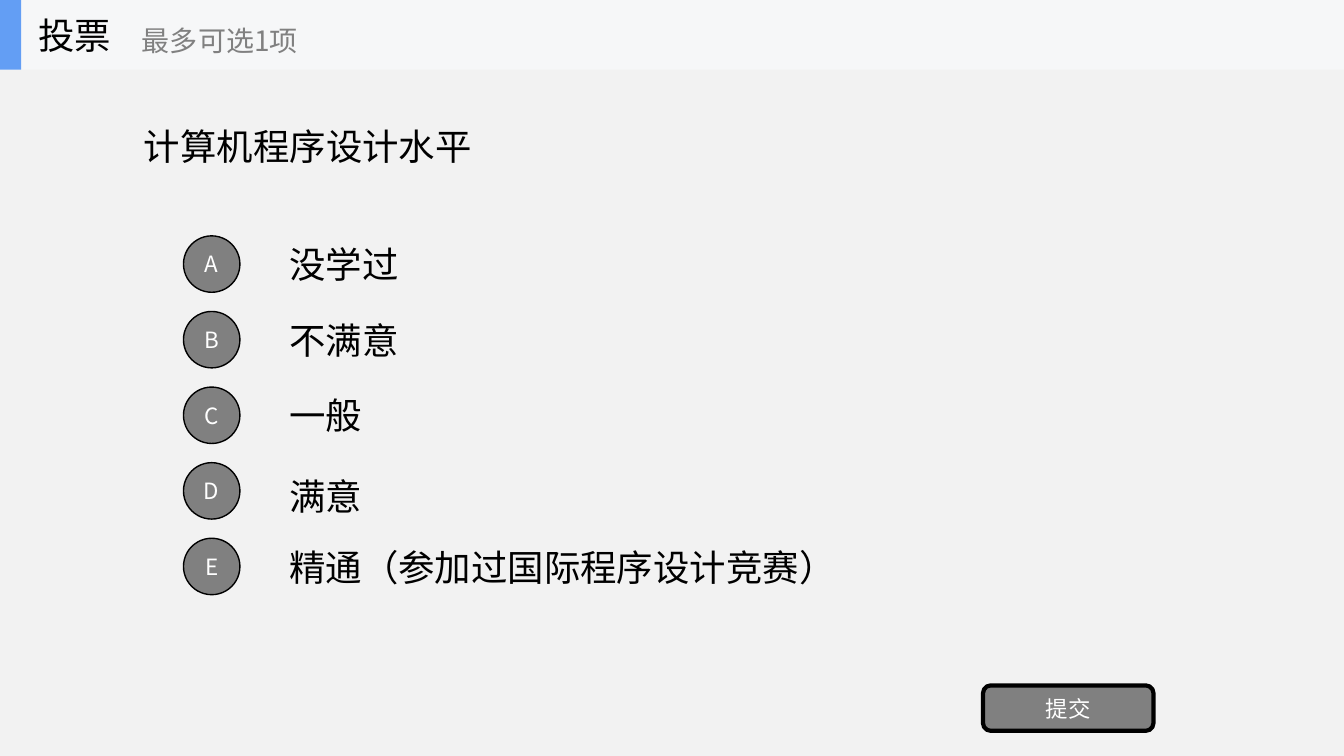
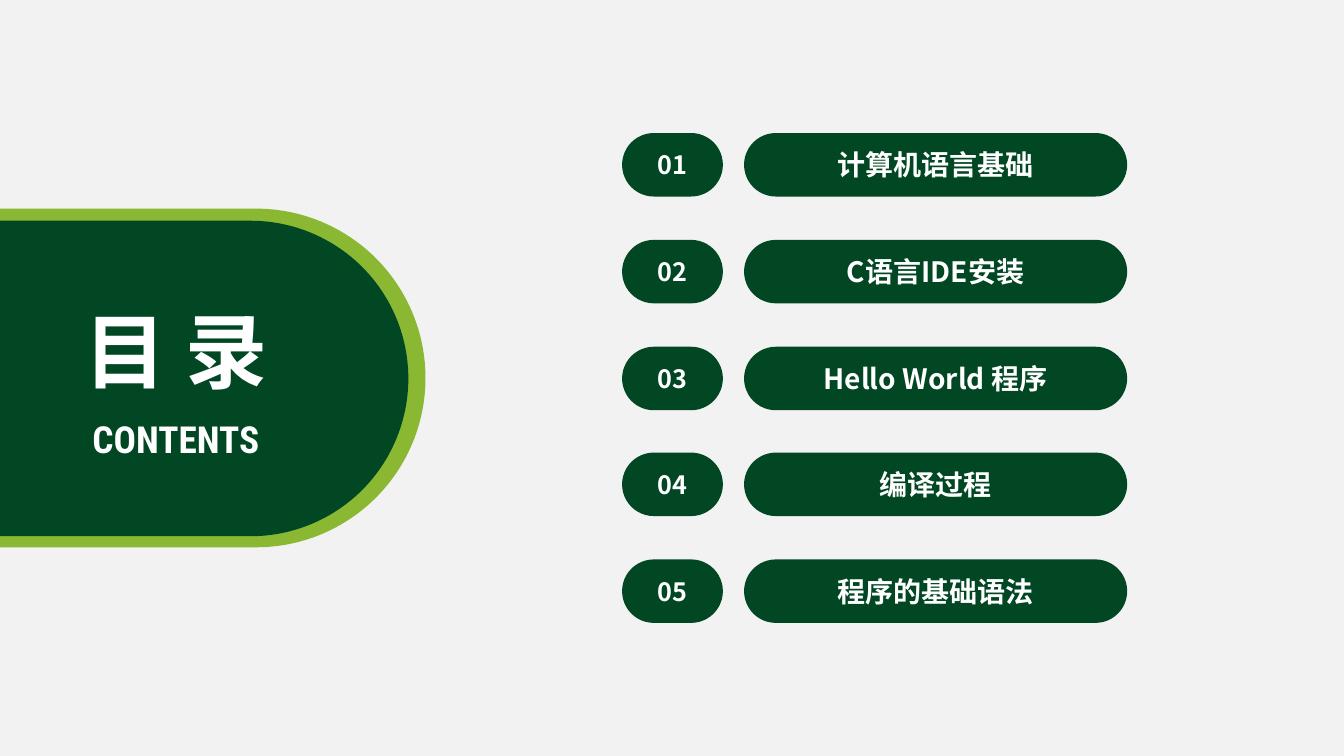
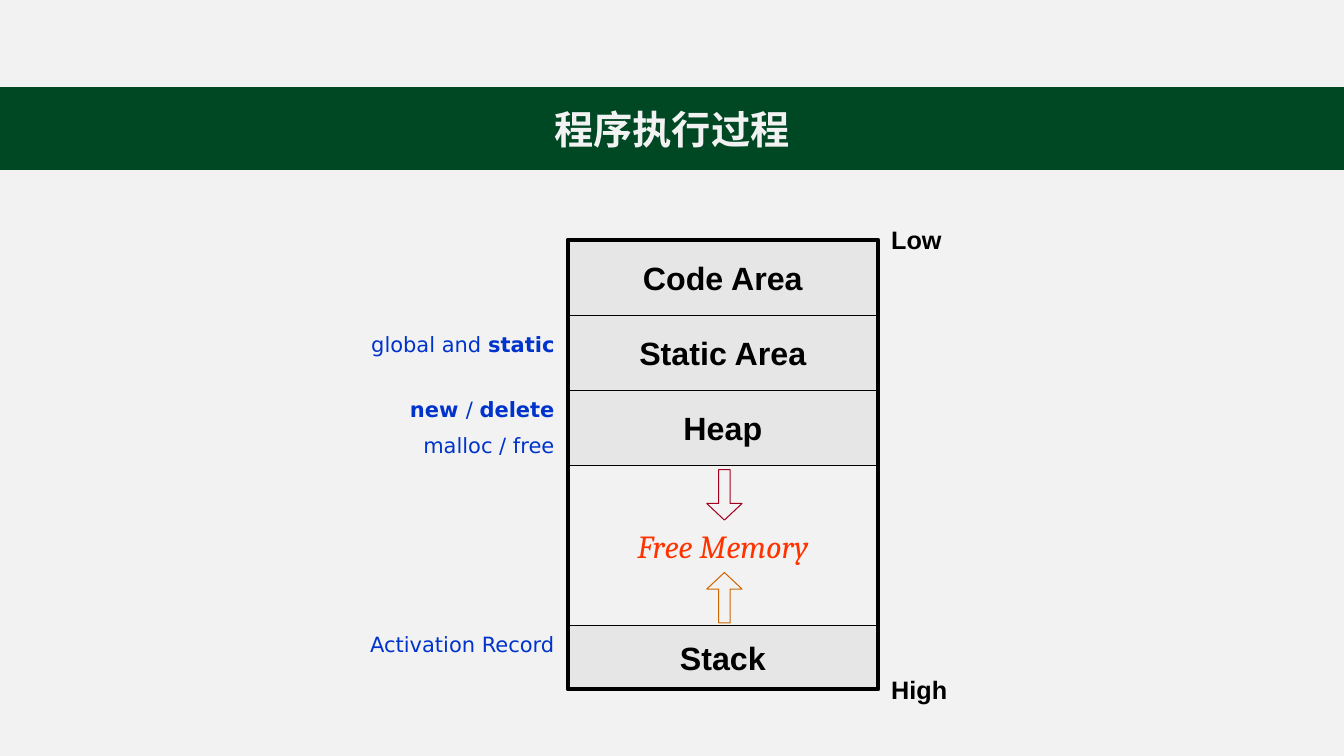
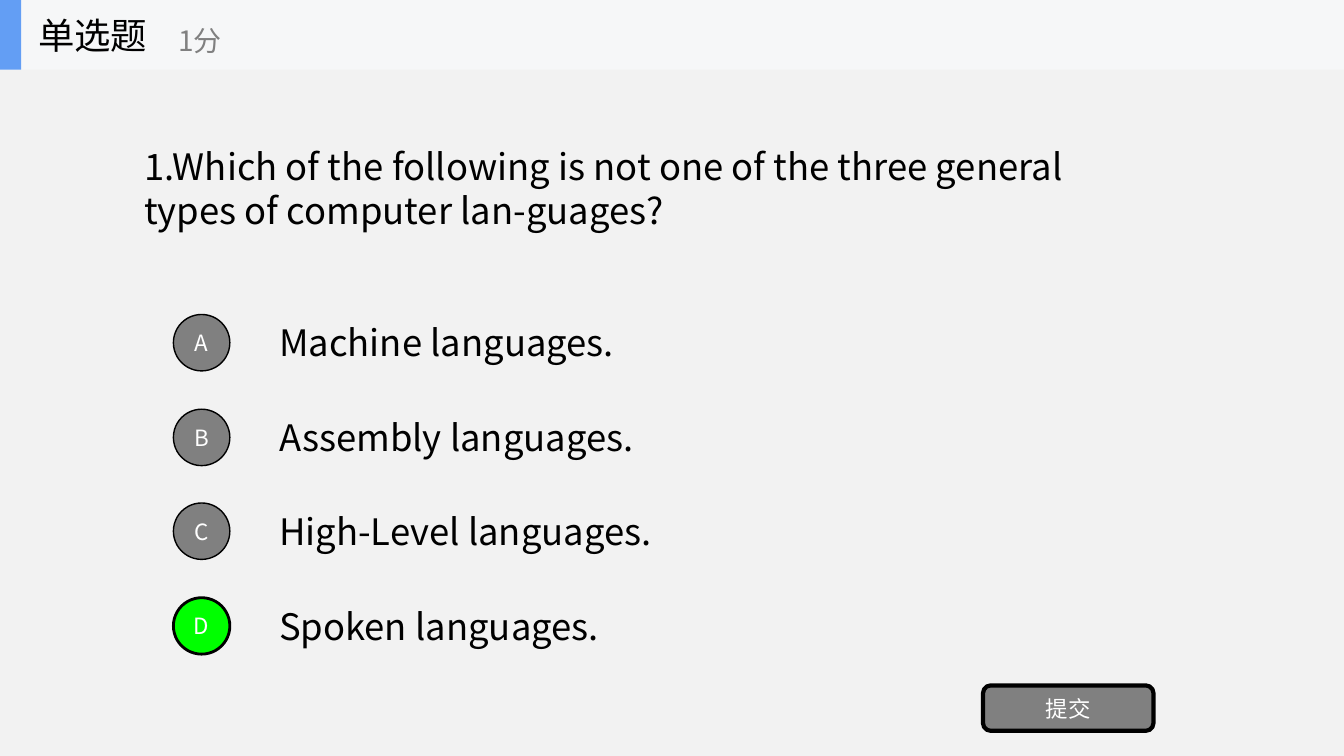
from dataclasses import dataclass
from typing import NamedTuple, Optional, Sequence, Union

from lxml import etree
from pptx import Presentation
from pptx import util as u
from pptx.dml.color import RGBColor
from pptx.enum import shapes, text
from pptx.oxml.ns import qn

EMU_PER_PX = 9144  # 100 px to the inch
SLIDE_WIDTH, SLIDE_HEIGHT = 1333, 750
PRESET = shapes.MSO_SHAPE
ALIGN = text.PP_ALIGN
ANCHOR = text.MSO_ANCHOR


@dataclass(frozen=True)
class Theme:
    # Colours
    page: str = "F2F2F2"
    black: str = "000000"
    white: str = "FFFFFF"
    grey: str = "808080"
    header: str = "F6F7F8"
    accent: str = "639EF4"
    correct: str = "00FF00"
    green: str = "014723"
    band: str = "004723"
    lime: str = "8AB833"
    memory: str = "E6E6E6"
    free: str = "FF3300"
    note: str = "0033CC"
    heap_arrow: str = "A50021"
    stack_arrow: str = "CC6600"
    # Fonts
    cjk: str = "Noto Sans CJK SC"
    condensed: str = "Roboto Condensed"
    sans: str = "Arial"
    serif: str = "Cambria"
    label: str = "DejaVu Sans"
    # Type sizes
    display: float = 58.6
    subtitle: float = 26.6
    band_title: float = 28
    body: float = 26
    area: float = 23
    entry: float = 20
    number: float = 18
    button: float = 16
    small: float = 15


THEME = Theme()


class Box(NamedTuple):
    left: int
    top: int
    width: int
    height: int


class Run(NamedTuple):
    text: str
    bold: bool = False


Content = Union[str, Sequence[Sequence[Run]]]


@dataclass(frozen=True)
class Option:
    letter: str
    text: str
    text_shift: int = 0
    correct: bool = False


@dataclass(frozen=True)
class Quiz:
    title: str
    note: str
    note_left: int
    question: str
    question_box: Box
    options: Sequence[Option]
    circle_left: int
    first_top: int
    last_top: int
    text_width: int
    text_height: int


class Area(NamedTuple):
    name: str
    height: int
    free: bool = False
    line: str = THEME.black


class Arrow(NamedTuple):
    preset: shapes.MSO_SHAPE
    top: int
    color: str


class Label(NamedTuple):
    box: Box
    content: Content


VOTE = Quiz(
    "投票", "最多可选1项", 131,
    "计算机程序设计水平", Box(133, 69, 1067, 151),
    (Option("A", "没学过"), Option("B", "不满意"), Option("C", "一般"),
     Option("D", "满意", text_shift=5), Option("E", "精通（参加过国际程序设计竞赛）")),
    circle_left=182, first_top=234, last_top=534, text_width=933, text_height=70,
)
SINGLE_CHOICE = Quiz(
    "单选题", "1分", 167,
    "1.Which of the following is not one of the three general types of computer lan-guages?",
    Box(133, 138, 989, 97),
    (Option("A", "Machine languages."), Option("B", "Assembly languages."),
     Option("C", "High-Level languages."), Option("D", "Spoken languages.", correct=True)),
    circle_left=172, first_top=312, last_top=593, text_width=414, text_height=53,
)
CHAPTERS = ("计算机语言基础", "C语言IDE安装", "Hello World 程序", "编译过程", "程序的基础语法")
AREAS = (
    Area("Code Area", 75, line=THEME.memory),
    Area("Static Area", 74),
    Area("Heap", 75),
    Area("Free Memory", 159, free=True),
    Area("Stack", 63),
)
ARROWS = (
    Arrow(PRESET.UP_ARROW, 568, THEME.stack_arrow),
    Arrow(PRESET.DOWN_ARROW, 466, THEME.heap_arrow),
)
ADDRESSES = (
    Label(Box(871, 217, 117, 43), "Low"),
    Label(Box(871, 663, 117, 43), "High"),
)
USES = (
    Label(Box(308, 323, 255, 38), [[Run("global and "), Run("static", True)]]),
    Label(Box(308, 387, 255, 76),
          [[Run("new ", True), Run("/ "), Run("delete", True)], [Run("malloc / free")]]),
    Label(Box(308, 621, 255, 38), "Activation Record"),
)


def px(length: int) -> u.Emu:
    return u.Emu(length * EMU_PER_PX)


def spread(first: int, last: int, count: int) -> list[int]:
    """Positions at equal steps from first to last."""
    return [round(first + (last - first) * i / (count - 1)) for i in range(count)]


def write_text(shape, content: Content, *, size: float, color: str = THEME.black,
               font: str = THEME.cjk, bold: bool = False, italic: bool = False,
               align: ALIGN = ALIGN.LEFT, anchor: ANCHOR = ANCHOR.MIDDLE,
               wrap: bool = True, inset: tuple[int, int] = (10, 5),
               gap: float = 0) -> None:
    frame = shape.text_frame
    frame.word_wrap = wrap
    frame.vertical_anchor = anchor
    frame.margin_left = frame.margin_right = px(inset[0])
    frame.margin_top = frame.margin_bottom = px(inset[1])
    lines = [[Run(content, bold)]] if isinstance(content, str) else content
    for index, line in enumerate(lines):
        paragraph = frame.add_paragraph() if index else frame.paragraphs[0]
        paragraph.alignment = align
        if index and gap:
            paragraph.space_before = u.Pt(gap)
        for part in line:
            run = paragraph.add_run()
            run.text = part.text
            run.font.size = u.Pt(size)
            run.font.bold = part.bold
            run.font.italic = italic
            run.font.color.rgb = RGBColor.from_string(color)
            run.font.name = font
            # East Asian characters take their own typeface element
            etree.SubElement(run._r.get_or_add_rPr(), qn("a:ea"), typeface=font)


def add_shape(slide, preset: shapes.MSO_SHAPE, box: Box, *, fill: Optional[str] = None,
              line: Optional[str] = None, line_width: float = 1,
              adjustments: Sequence[float] = ()):
    shape = slide.shapes.add_shape(preset, *map(px, box))
    shape.shadow.inherit = False
    if fill:
        shape.fill.solid()
        shape.fill.fore_color.rgb = RGBColor.from_string(fill)
    else:
        shape.fill.background()
    if line:
        shape.line.color.rgb = RGBColor.from_string(line)
        shape.line.width = u.Pt(line_width)
    else:
        shape.line.fill.background()
    for index, value in enumerate(adjustments):
        shape.adjustments[index] = value
    return shape


def add_text(slide, box: Box, content: Content, **style) -> None:
    write_text(slide.shapes.add_textbox(*map(px, box)), content, **style)


def add_pill(slide, box: Box, fill: str):
    return add_shape(slide, PRESET.ROUNDED_RECTANGLE, box, fill=fill, adjustments=(0.5,))


def add_option(slide, quiz: Quiz, option: Option, top: int) -> None:
    size = 56
    text_top = top + (size - quiz.text_height) // 2 + option.text_shift
    add_text(slide, Box(quiz.circle_left + 95, text_top, quiz.text_width, quiz.text_height),
             option.text, size=THEME.body)
    circle = add_shape(slide, PRESET.OVAL, Box(quiz.circle_left, top, size, size),
                       fill=THEME.correct if option.correct else THEME.grey,
                       line=THEME.black, line_width=2 if option.correct else 1)
    write_text(circle, option.letter, size=THEME.button, color=THEME.white,
               align=ALIGN.CENTER, inset=(0, 0))


def build_quiz(slide, quiz: Quiz) -> None:
    # Question and answers
    add_text(slide, quiz.question_box, quiz.question, size=THEME.body)
    tops = spread(quiz.first_top, quiz.last_top, len(quiz.options))
    for option, top in zip(quiz.options, tops):
        add_option(slide, quiz, option, top)
    # Submit button
    button = add_shape(slide, PRESET.ROUNDED_RECTANGLE, Box(975, 680, 169, 45),
                       fill=THEME.grey, line=THEME.black, line_width=3)
    write_text(button, "提交", size=THEME.button, color=THEME.white, align=ALIGN.CENTER)
    # Header
    add_shape(slide, PRESET.RECTANGLE, Box(0, 0, SLIDE_WIDTH, 69), fill=THEME.header)
    add_shape(slide, PRESET.RECTANGLE, Box(0, 0, 21, 69), fill=THEME.accent)
    add_text(slide, Box(28, 0, 208, 69), quiz.title, size=THEME.body, wrap=False)
    add_text(slide, Box(quiz.note_left, 12, 250, 56), quiz.note,
             size=THEME.entry, color=THEME.grey, wrap=False)


def build_contents(slide) -> None:
    # Side tab
    add_pill(slide, Box(-196, 207, 618, 336), THEME.lime)
    add_pill(slide, Box(-170, 219, 575, 313), THEME.green)
    heading = dict(color=THEME.white, bold=True, align=ALIGN.CENTER,
                   anchor=ANCHOR.TOP, wrap=False)
    add_text(slide, Box(81, 408, 187, 55), "CONTENTS", size=THEME.subtitle,
             font=THEME.condensed, **heading)
    add_text(slide, Box(70, 293, 209, 109), "目 录", size=THEME.display, **heading)
    # Chapter rows
    entry = dict(color=THEME.white, bold=True, align=ALIGN.CENTER)
    tops = spread(132, 555, len(CHAPTERS))
    for number, (chapter, top) in enumerate(zip(CHAPTERS, tops), start=1):
        write_text(add_pill(slide, Box(617, top, 100, 63), THEME.green),
                   f"{number:02}", size=THEME.number, **entry)
        write_text(add_pill(slide, Box(738, top, 380, 63), THEME.green),
                   chapter, size=THEME.entry, **entry)


def build_memory(slide) -> None:
    # Title band
    band = add_shape(slide, PRESET.RECTANGLE, Box(0, 87, SLIDE_WIDTH, 81),
                     fill=THEME.band, line=THEME.band)
    write_text(band, "程序执行过程", size=THEME.band_title, color=THEME.page,
               bold=True, align=ALIGN.CENTER)
    # Stacked memory areas
    left, first_top, width = 563, 238, 308
    inset = (13, 6)
    top = first_top
    for area in AREAS:
        block = add_shape(slide, PRESET.RECTANGLE, Box(left, top, width, area.height),
                          fill=None if area.free else THEME.memory,
                          line=area.line, line_width=0.75)
        write_text(block, area.name, size=THEME.area,
                   color=THEME.free if area.free else THEME.black,
                   font=THEME.serif if area.free else THEME.sans,
                   bold=not area.free, italic=area.free,
                   align=ALIGN.CENTER, wrap=False, inset=inset)
        top += area.height
    # Growth directions
    for arrow in ARROWS:
        add_shape(slide, arrow.preset, Box(701, arrow.top, 35, 50),
                  line=arrow.color, line_width=0.75, adjustments=(0.323, 0.47))
    # Side labels
    for label in ADDRESSES:
        add_text(slide, label.box, label.content, size=THEME.number, font=THEME.sans,
                 bold=True, anchor=ANCHOR.TOP, inset=inset)
    for label in USES:
        add_text(slide, label.box, label.content, size=THEME.small, font=THEME.label,
                 color=THEME.note, align=ALIGN.RIGHT, anchor=ANCHOR.TOP,
                 inset=inset, gap=8)
    # Outer frame
    add_shape(slide, PRESET.RECTANGLE, Box(left, first_top, width, top - first_top),
              line=THEME.black, line_width=3)


def main() -> None:
    presentation = Presentation()
    presentation.slide_width = px(SLIDE_WIDTH)
    presentation.slide_height = px(SLIDE_HEIGHT)
    background = presentation.slide_master.background.fill
    background.solid()
    background.fore_color.rgb = RGBColor.from_string(THEME.page)
    blank = presentation.slide_layouts[6]

    build_quiz(presentation.slides.add_slide(blank), VOTE)
    build_contents(presentation.slides.add_slide(blank))
    build_memory(presentation.slides.add_slide(blank))
    build_quiz(presentation.slides.add_slide(blank), SINGLE_CHOICE)
    presentation.save("out.pptx")


if __name__ == "__main__":
    main()
